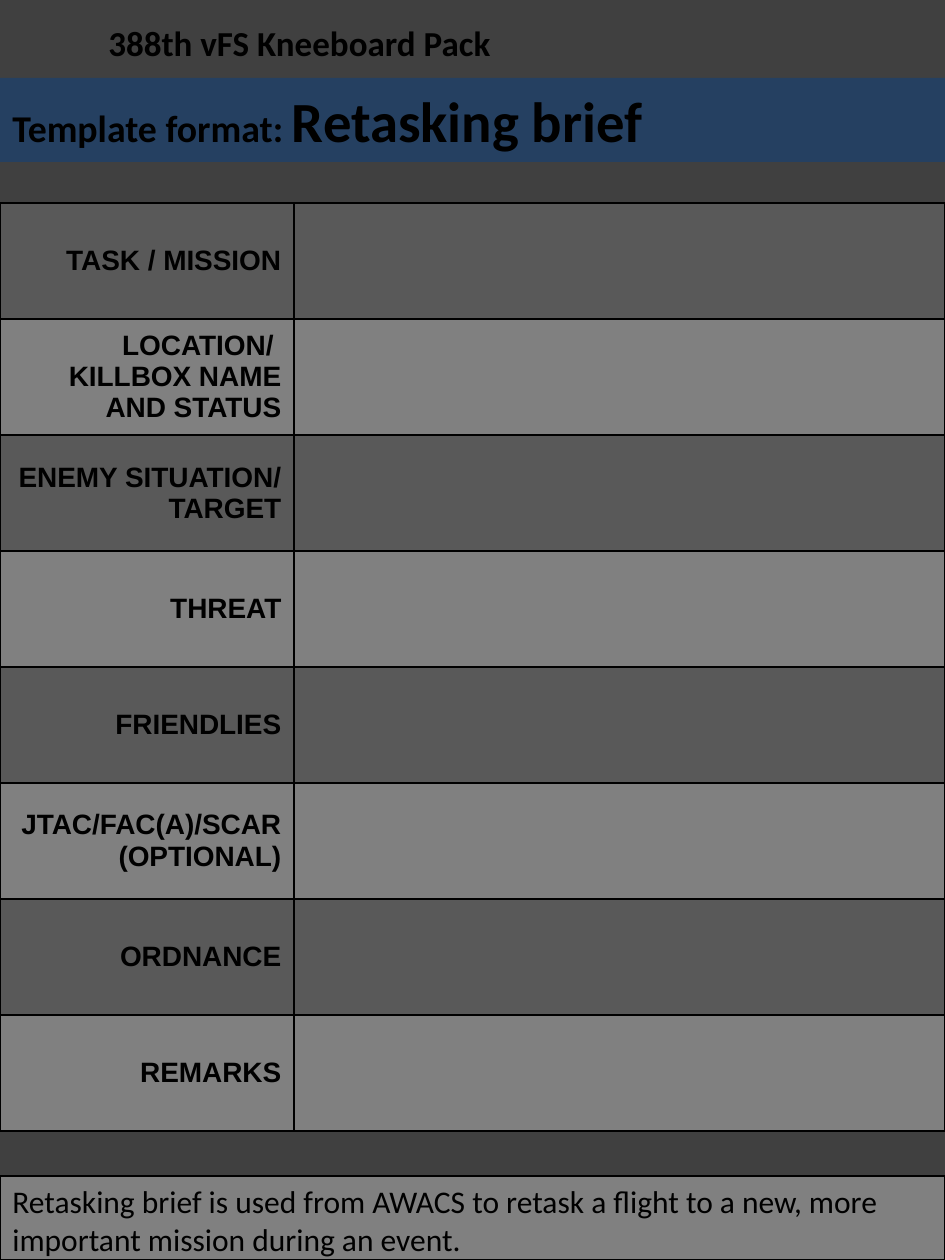
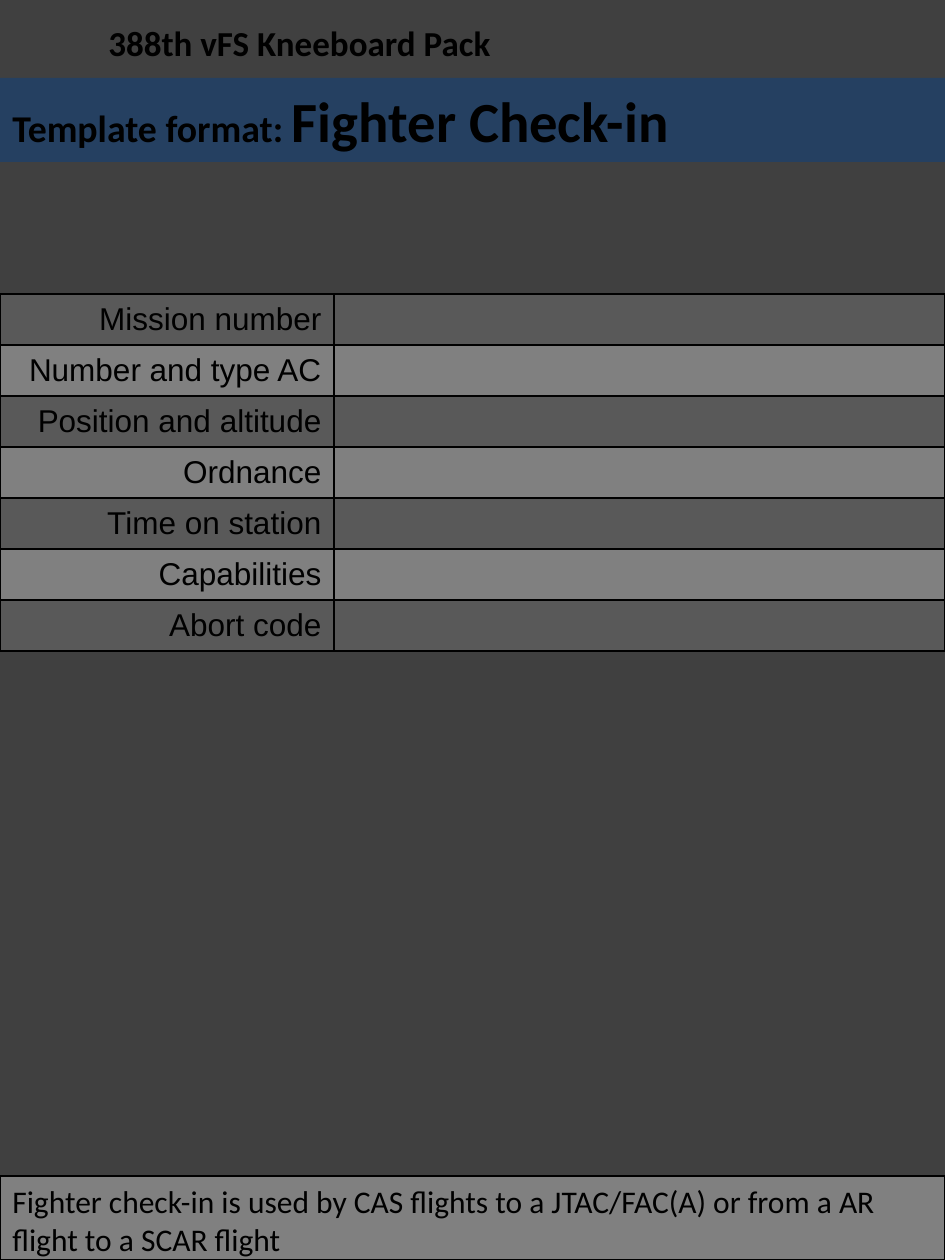
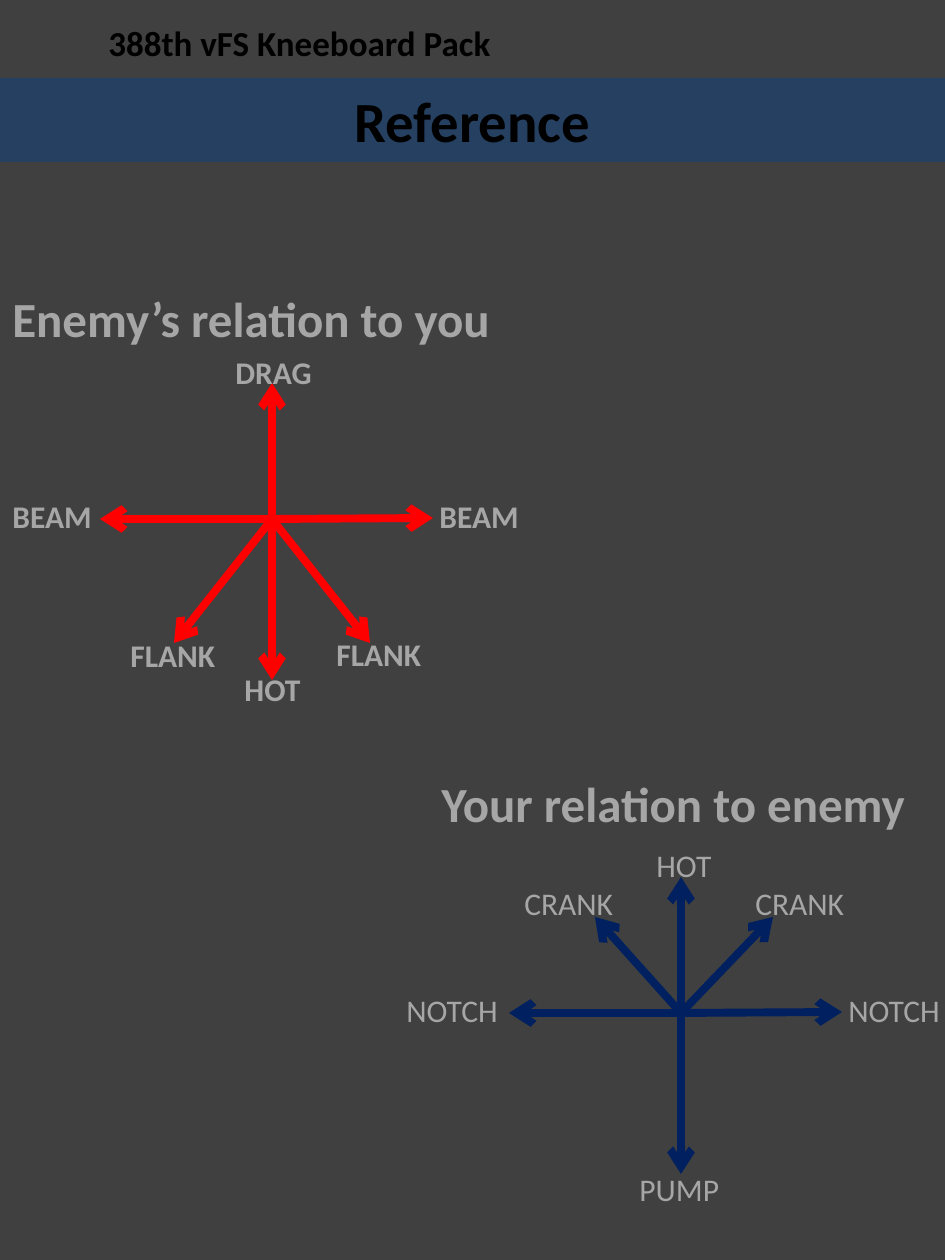
from dataclasses import dataclass

from lxml import etree
from pptx import Presentation
from pptx.dml.color import RGBColor
from pptx.enum.shapes import MSO_CONNECTOR, MSO_SHAPE
from pptx.enum.text import MSO_ANCHOR, PP_ALIGN
from pptx.oxml.ns import qn
from pptx.util import Emu, Pt

RECT = MSO_SHAPE.RECTANGLE
STRAIGHT = MSO_CONNECTOR.STRAIGHT
TOP, MIDDLE = MSO_ANCHOR.TOP, MSO_ANCHOR.MIDDLE
LEFT, CENTER, RIGHT = PP_ALIGN.LEFT, PP_ALIGN.CENTER, PP_ALIGN.RIGHT

SCALE = 914400 / 126  # EMU per pixel
WIDTH, HEIGHT = 945, 1260
BAND_H = 84
LABEL_H = 50

COLORS = {
    "page": "404040",
    "band": "254061",
    "dark_row": "595959",
    "light_row": "808080",
    "ink": "000000",
    "label": "A6A6A6",
    "enemy": "FF0000",
    "own": "002060",
}


@dataclass
class Run:
    """A piece of text with its format."""
    text: str
    size: float
    bold: bool = False
    color: str = "ink"
    font: str = "Calibri"


@dataclass
class Form:
    """A slide with a two-column form to fill in."""
    title: str
    note: str
    top: int
    label_w: int
    row_h: int
    size: int
    bold: bool
    labels: list[str]


@dataclass
class Label:
    """A short text box at a place on the slide."""
    text: str
    left: int
    top: int
    width: int = 110


@dataclass
class Rose:
    """Arrows that leave one hub, with their heading and labels."""
    heading: Label
    hub: tuple[int, int]
    diagonals: list[tuple[int, int]]
    color: str
    bold: bool
    labels: list[Label]


FORMS = [
    Form("Retasking brief",
         "Retasking brief is used from AWACS to retask a flight to a new, "
         "more important mission during an event.",
         203, 294, 116, 16, True,
         ["TASK / MISSION", "LOCATION/ \vKILLBOX NAME AND STATUS",
          "ENEMY SITUATION/ TARGET", "THREAT", "FRIENDLIES",
          "JTAC/FAC(A)/SCAR\n(OPTIONAL)", "ORDNANCE", "REMARKS"]),
    Form("Fighter Check-in",
         "Fighter check-in is used by CAS flights to a JTAC/FAC(A) or from "
         "a AR flight to a SCAR flight",
         294, 334, 51, 18, False,
         ["Mission number", "Number and type AC", "Position and altitude",
          "Ordnance", "Time on station", "Capabilities", "Abort code"]),
]

# Arrow tips relative to the hub: down, up, right, left
MAIN_TIPS = [(0, 161), (0, -136), (161, -1), (-172, 0)]

ROSES = [
    Rose(Label("Enemy’s relation to you", 0, 282, 515),
         (272, 519), [(98, 124), (-98, 124)], "enemy", True,
         [Label("BEAM", 427, 491), Label("BEAM", 0, 491),
          Label("HOT", 232, 664), Label("FLANK", 118, 630, 115),
          Label("FLANK", 324, 629, 139), Label("DRAG", 223, 347)]),
    Rose(Label("Your relation to enemy", 429, 767, 516),
         (681, 1013), [(92, -96), (-86, -96)], "own", False,
         [Label("NOTCH", 836, 985, 128), Label("NOTCH", 394, 985, 125),
          Label("PUMP", 627, 1164), Label("CRANK", 743, 878, 123),
          Label("CRANK", 512, 878, 122), Label("HOT", 644, 840)]),
]


def px(n: float) -> Emu:
    """Turn pixels into EMU."""
    return Emu(round(n * SCALE))


def rgb(name: str) -> RGBColor:
    """Look up a colour by name."""
    return RGBColor.from_string(COLORS[name])


def style(r, run: Run) -> None:
    """Give a text run its font, size and colour."""
    r.font.name = run.font
    r.font.size = Pt(run.size)
    r.font.bold = run.bold
    r.font.color.rgb = rgb(run.color)


def write(tf, runs: list[Run], anchor=TOP, align=LEFT) -> None:
    """Write one wrapped paragraph of runs."""
    tf.word_wrap = True
    tf.vertical_anchor = anchor
    p = tf.paragraphs[0]
    p.alignment = align
    for run in runs:
        r = p.add_run()
        r.text = run.text
        style(r, run)


def add_text(slide, label: Label, run: Run, height: int, anchor=TOP) -> None:
    """Add a text box."""
    sp = slide.shapes.add_textbox(px(label.left), px(label.top),
                                  px(label.width), px(height))
    write(sp.text_frame, [run], anchor)


def add_band(slide, top: int, height: int, fill: str, runs: list[Run],
             anchor=MIDDLE, align=LEFT, outlined: bool = False) -> None:
    """Add a filled band across the slide."""
    sp = slide.shapes.add_shape(RECT, 0, px(top), px(WIDTH), px(height))
    sp.shadow.inherit = False
    sp.fill.solid()
    sp.fill.fore_color.rgb = rgb(fill)
    if outlined:
        sp.line.color.rgb = rgb("ink")
        sp.line.width = Pt(0.75)
    else:
        sp.line.fill.background()
    write(sp.text_frame, runs, anchor, align)


def add_page(prs, title: list[Run], align=LEFT):
    """Add a slide with the pack name and the title band."""
    slide = prs.slides.add_slide(prs.slide_layouts[6])
    slide.background.fill.solid()
    slide.background.fill.fore_color.rgb = rgb("page")
    add_text(slide, Label("388th vFS Kneeboard Pack", 96, 0, 556),
             Run("388th vFS Kneeboard Pack", 20, True), BAND_H, MIDDLE)
    add_band(slide, 78, BAND_H, "band", title, align=align)
    return slide


def set_borders(cell) -> None:
    """Draw a 1 pt line on all four sides of a cell."""
    tcPr = cell._tc.get_or_add_tcPr()
    for side in ("lnL", "lnR", "lnT", "lnB"):
        ln = etree.SubElement(tcPr, qn(f"a:{side}"), w=str(Pt(1)))
        fill = etree.SubElement(ln, qn("a:solidFill"))
        etree.SubElement(fill, qn("a:srgbClr"), val=COLORS["ink"])


def add_form_table(slide, form: Form) -> None:
    """Add the form: labels at the left, empty cells at the right."""
    count = len(form.labels)
    table = slide.shapes.add_table(count, 2, 0, px(form.top), px(WIDTH),
                                   px(form.row_h * count)).table
    table.columns[0].width = px(form.label_w)
    table.columns[1].width = px(WIDTH - form.label_w)
    for i, text in enumerate(form.labels):
        table.rows[i].height = px(form.row_h)
        for cell in table.rows[i].cells:
            set_borders(cell)
            cell.fill.solid()
            cell.fill.fore_color.rgb = rgb("light_row" if i % 2 else "dark_row")
        cell = table.cell(i, 0)
        cell.vertical_anchor = MIDDLE
        cell.text_frame.text = text
        for p in cell.text_frame.paragraphs:
            p.alignment = RIGHT
            for r in p.runs:
                style(r, Run(r.text, form.size, form.bold, font="Arial"))


def add_form(prs, form: Form) -> None:
    """Add a form slide with its note at the foot."""
    slide = add_page(prs, [Run("Template format: ", 21.6, True),
                           Run(form.title, 32.4, True)])
    add_form_table(slide, form)
    add_band(slide, HEIGHT - BAND_H, BAND_H, "light_row",
             [Run(form.note, 18)], TOP, outlined=True)


def add_arrow(slide, start: tuple[int, int], tip: tuple[int, int],
              color: str) -> None:
    """Add a thick arrow from start to start + tip."""
    x, y = start
    cn = slide.shapes.add_connector(STRAIGHT, px(x), px(y),
                                    px(x + tip[0]), px(y + tip[1]))
    cn.line.color.rgb = rgb(color)
    cn.line.width = Pt(4.5)
    etree.SubElement(cn.line._get_or_add_ln(), qn("a:tailEnd"), type="arrow")
    etree.SubElement(cn._element.spPr, qn("a:effectLst"))


def add_rose(slide, rose: Rose) -> None:
    """Add the arrows, labels and heading of one rose."""
    for tip in MAIN_TIPS + rose.diagonals:
        add_arrow(slide, rose.hub, tip, rose.color)
    for label in rose.labels:
        add_text(slide, label, Run(label.text, 18, rose.bold, "label"), LABEL_H)
    add_text(slide, rose.heading,
             Run(rose.heading.text, 28, True, "label"), 72)


def main() -> None:
    """Build the deck."""
    prs = Presentation()
    prs.slide_width, prs.slide_height = px(WIDTH), px(HEIGHT)
    for form in FORMS:
        add_form(prs, form)
    slide = add_page(prs, [Run("Reference", 32.4, True)], CENTER)
    for rose in ROSES:
        add_rose(slide, rose)
    prs.save("out.pptx")


main()
